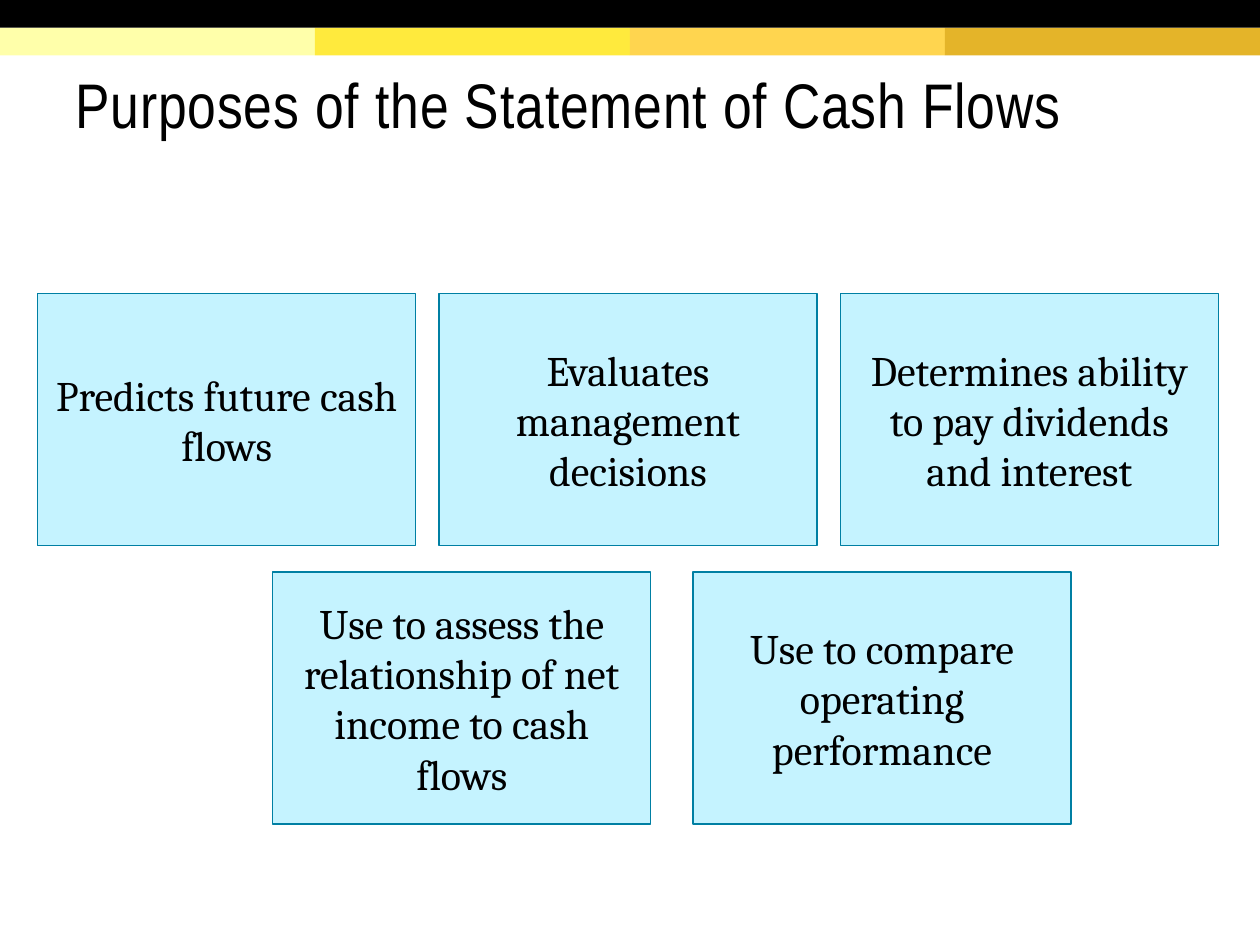
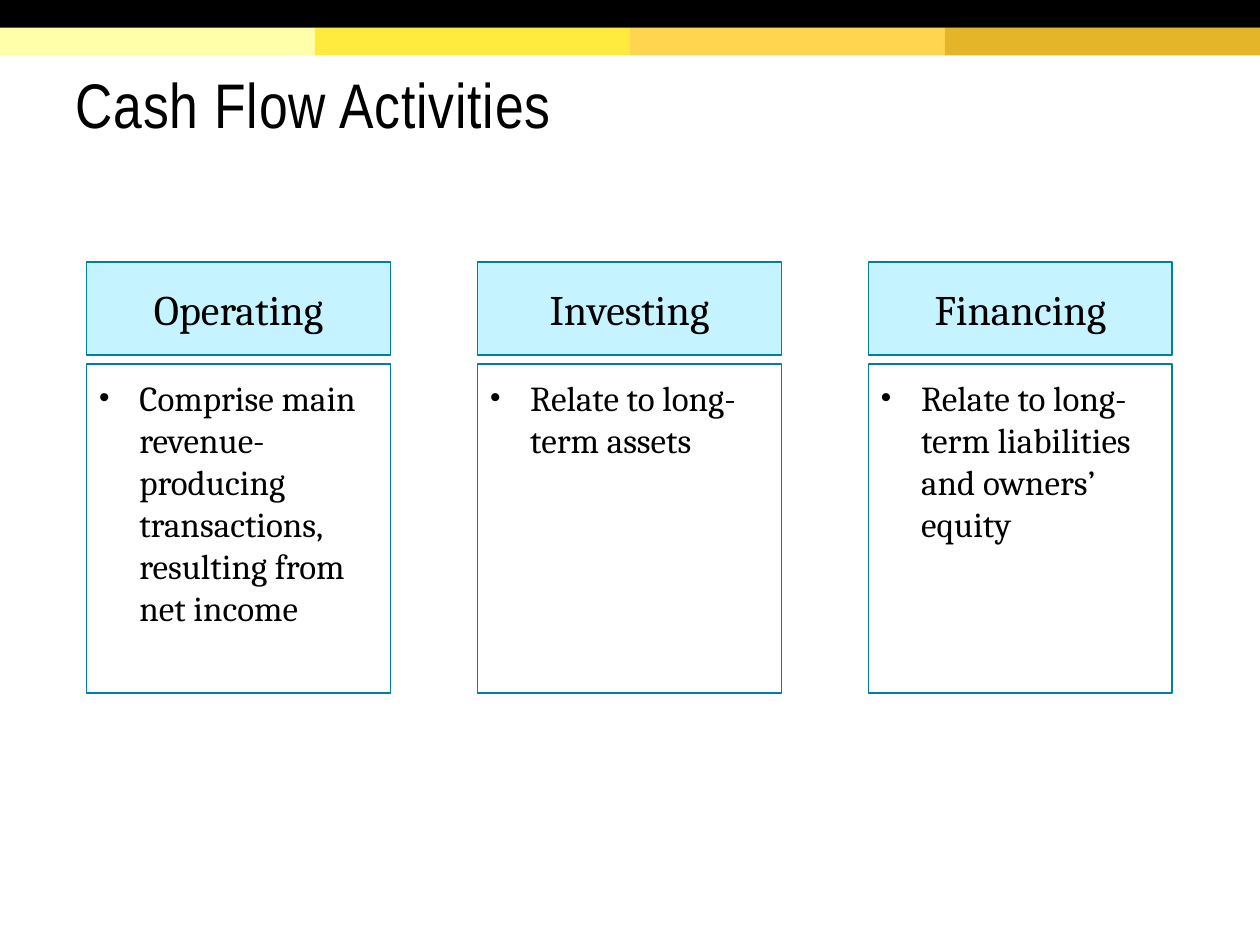
"""Build two slides on the statement of cash flows and its activities."""
from lxml import etree
from pptx import Presentation
from pptx import util as u
from pptx.dml.color import RGBColor
from pptx.enum import shapes, text
from pptx.oxml.ns import qn

COLOURS = {
    "ink": "000000", "panel": "C5F3FF", "edge": "007FA3",
    "cream": "FFFFAA", "lemon": "FFEA3D", "amber": "FFD54F", "gold": "E4B429",
}
BANDS = ["cream", "lemon", "amber", "gold"]
TITLE_FONT, BODY_FONT = "Arial Narrow", "Cambria"
SLIDE_WIDTH, SLIDE_HEIGHT, BAND_HEIGHT = 25.4, 19.05, 0.56
INSET, BULLET_INDENT = 0.25, 0.81

PURPOSES_TITLE = "Purposes of the Statement of Cash Flows"
PURPOSE_SIZE = (7.62, 5.08)
PURPOSE_ROWS = [
    {"left": 0.76, "top": 5.92, "step": 8.09, "purposes": [
        "Predicts future cash flows",
        "Evaluates management decisions",
        "Determines ability to pay dividends and interest",
    ]},
    {"left": 5.5, "top": 11.53, "step": 8.47, "purposes": [
        "Use to assess the relationship of net income to cash flows",
        "Use to compare operating performance",
    ]},
]

ACTIVITIES_TITLE = "Cash Flow Activities"
ACTIVITIES = [
    ("Operating", "Comprise main revenue-producing transactions, resulting from net income"),
    ("Investing", "Relate to long-term assets"),
    ("Financing", "Relate to long-term liabilities and owners’ equity"),
]
COLUMN_LEFT, COLUMN_STEP, COLUMN_WIDTH = 1.75, 7.88, 6.12
HEADING_TOP, HEADING_HEIGHT = 5.28, 1.88
DETAIL_TOP, DETAIL_HEIGHT = 7.34, 6.63


def colour(name):
    return RGBColor.from_string(COLOURS[name])


def add_box(slide, left, top, width, height, fill=None, line=None):
    box = slide.shapes.add_shape(
        shapes.MSO_SHAPE.RECTANGLE, u.Cm(left), u.Cm(top), u.Cm(width), u.Cm(height))
    box.shadow.inherit = False
    if fill:
        box.fill.solid()
        box.fill.fore_color.rgb = colour(fill)
    else:
        box.fill.background()
    if line:
        box.line.color.rgb = colour(line)
        box.line.width = u.Pt(0.75)
    else:
        box.line.fill.background()
    return box


def add_bullet(para):
    props = para._p.get_or_add_pPr()
    props.set("marL", str(u.Cm(BULLET_INDENT)))
    props.set("indent", str(-u.Cm(BULLET_INDENT)))
    bullet_colour = etree.SubElement(props, qn("a:buClr"))
    etree.SubElement(bullet_colour, qn("a:srgbClr"), val=COLOURS["ink"])
    etree.SubElement(props, qn("a:buSzPct"), val="85000")
    etree.SubElement(props, qn("a:buFont"), typeface="Arial")
    etree.SubElement(props, qn("a:buChar"), char="•")


def write(box, words, size=24, font=BODY_FONT, align="CENTER", anchor="MIDDLE",
          gap=8, leading=None, tracking=None, bottom=INSET, bullet=False):
    frame = box.text_frame
    frame.word_wrap = True
    frame.vertical_anchor = text.MSO_ANCHOR[anchor]
    frame.margin_left = frame.margin_right = frame.margin_top = u.Cm(INSET)
    frame.margin_bottom = u.Cm(bottom)
    para = frame.paragraphs[0]
    para.alignment = text.PP_ALIGN[align]
    para.space_before = para.space_after = u.Pt(gap)
    if leading:
        para.line_spacing = leading
    if bullet:
        add_bullet(para)
    span = para.add_run()
    span.text = words
    span.font.name = font
    span.font.size = u.Pt(size)
    span.font.color.rgb = colour("ink")
    if tracking:
        span.font._element.set("spc", str(tracking))


def add_slide(deck, title):
    slide = deck.slides.add_slide(deck.slide_layouts[6])
    band_width = SLIDE_WIDTH / len(BANDS)
    for index, band in enumerate(BANDS):
        add_box(slide, index * band_width, BAND_HEIGHT, band_width, BAND_HEIGHT, fill=band)
    add_box(slide, 0, 0, SLIDE_WIDTH, BAND_HEIGHT, fill="ink")
    box = slide.shapes.add_textbox(u.Cm(1.27), u.Cm(0.61), u.Cm(22.86), u.Cm(3.05))
    write(box, title, size=36, font=TITLE_FONT, align="LEFT", gap=0,
          leading=0.85, tracking=50, bottom=0.13)
    return slide


def add_purposes(deck):
    slide = add_slide(deck, PURPOSES_TITLE)
    for row in PURPOSE_ROWS:
        for index, purpose in enumerate(row["purposes"]):
            left = row["left"] + index * row["step"]
            box = add_box(slide, left, row["top"], *PURPOSE_SIZE, fill="panel", line="edge")
            write(box, purpose)


def add_activities(deck):
    slide = add_slide(deck, ACTIVITIES_TITLE)
    for index, (activity, detail) in enumerate(ACTIVITIES):
        left = COLUMN_LEFT + index * COLUMN_STEP
        heading = add_box(slide, left, HEADING_TOP, COLUMN_WIDTH, HEADING_HEIGHT,
                          fill="panel", line="edge")
        write(heading, activity)
        body = add_box(slide, left, DETAIL_TOP, COLUMN_WIDTH, DETAIL_HEIGHT, line="edge")
        write(body, detail, size=20, align="LEFT", anchor="TOP", bullet=True)


def main():
    deck = Presentation()
    deck.slide_width, deck.slide_height = u.Cm(SLIDE_WIDTH), u.Cm(SLIDE_HEIGHT)
    add_purposes(deck)
    add_activities(deck)
    deck.save("out.pptx")


if __name__ == "__main__":
    main()
